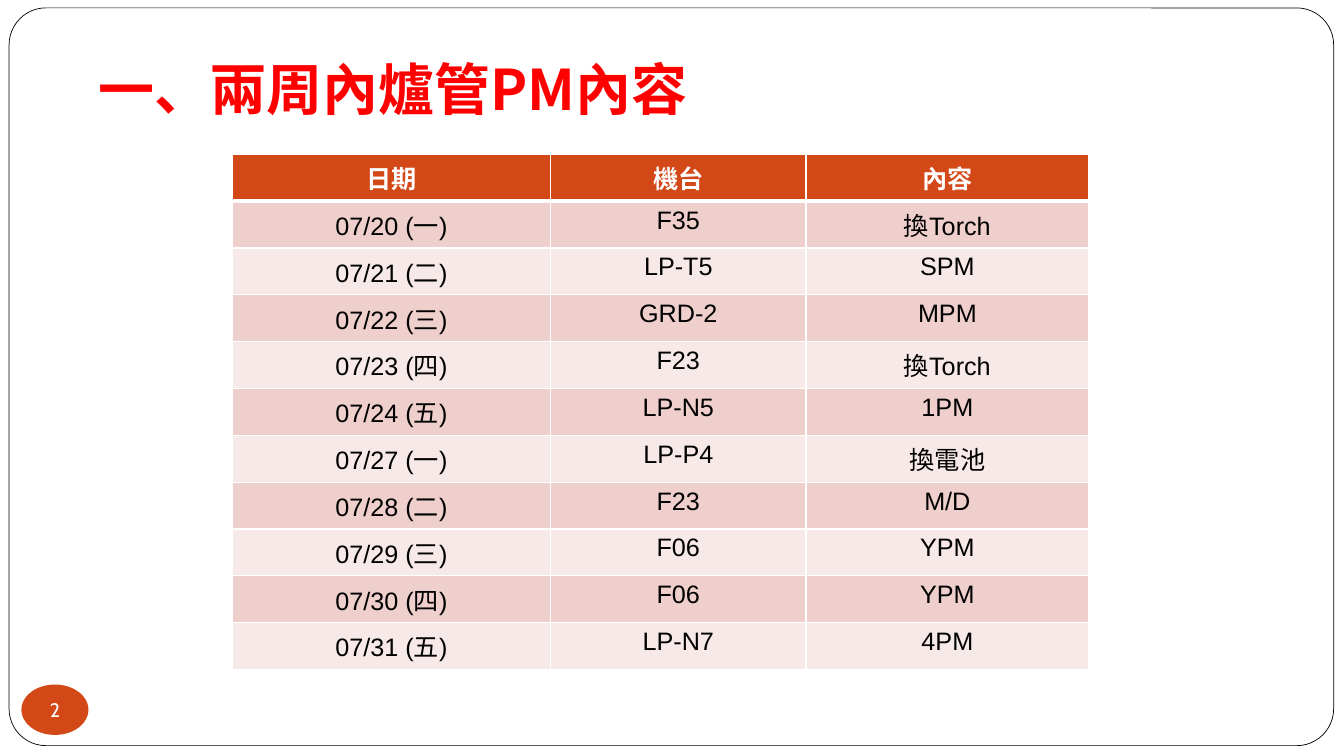
from lxml.etree import SubElement
from pptx import Presentation
from pptx.dml.color import RGBColor
from pptx.enum.shapes import MSO_SHAPE as Shape
from pptx.enum.text import MSO_ANCHOR as Anchor, PP_ALIGN as Align
from pptx.oxml.ns import qn
from pptx.util import Cm, Pt

WHITE, BLACK, RED = "FFFFFF", "000000", "FF0000"
ORANGE, ROSE, PALE = "D34817", "EFCFCC", "F7E9E8"
CJK = "Noto Sans CJK SC"

HEADINGS = ("日期", "機台", "內容")
SCHEDULE = (
    ("07/20 (一)", "F35", "換Torch"),
    ("07/21 (二)", "LP-T5", "SPM"),
    ("07/22 (三)", "GRD-2", "MPM"),
    ("07/23 (四)", "F23", "換Torch"),
    ("07/24 (五)", "LP-N5", "1PM"),
    ("07/27 (一)", "LP-P4", "換電池"),
    ("07/28 (二)", "F23", "M/D"),
    ("07/29 (三)", "F06", "YPM"),
    ("07/30 (四)", "F06", "YPM"),
    ("07/31 (五)", "LP-N7", "4PM"),
)
COLUMN_WIDTHS = (8.03, 6.43, 7.13)


def paint(colour_format, colour):
    """Give a fill a solid colour from a hex string."""
    colour_format.solid()
    colour_format.fore_color.rgb = RGBColor.from_string(colour)


def write(frame, text, size, face, colour, bold=False, align=Align.CENTER):
    """Write one paragraph in a single style."""
    paragraph = frame.paragraphs[0]
    paragraph.text = text
    paragraph.alignment = align
    font = paragraph.font
    font.size, font.name, font.bold = Pt(size), face, bold
    paint(font.fill, colour)
    SubElement(paragraph._p.pPr.find(qn("a:defRPr")), qn("a:ea"), typeface=CJK)


def add_panel(slide, kind, left, top, width, height, fill):
    """Add a flat preset shape without outline."""
    panel = slide.shapes.add_shape(kind, Cm(left), Cm(top), Cm(width), Cm(height))
    panel.shadow.inherit = False
    paint(panel.fill, fill)
    panel.line.fill.background()
    return panel


def add_frame(slide):
    """Add the rounded outline around the slide."""
    frame = add_panel(slide, Shape.ROUNDED_RECTANGLE, 0.23, 0.2, 33.38, 18.59, WHITE)
    frame.adjustments[0] = 0.05
    paint(frame.line.fill, BLACK)
    frame.line.width = Pt(0.5)


def add_title(slide, text):
    """Add the heading, resting on the bottom of its box."""
    title = slide.shapes.add_textbox(Cm(2.24), Cm(0.91), Cm(28.78), Cm(2.41)).text_frame
    title.word_wrap = True
    title.vertical_anchor = Anchor.BOTTOM
    title.margin_bottom = Cm(0.25)
    write(title, text, 40, CJK, RED, True, Align.LEFT)


def add_borders(cell, bottom):
    """Draw white cell borders with the given bottom width in points."""
    properties = cell._tc.get_or_add_tcPr()
    for side, width in (("L", 1), ("R", 1), ("T", 1), ("B", bottom)):
        border = SubElement(properties, qn(f"a:ln{side}"), w=str(Pt(width)))
        SubElement(SubElement(border, qn("a:solidFill")), qn("a:srgbClr"), val=WHITE)


def add_schedule(slide):
    """Add the maintenance table with a heading row and banded rows."""
    rows = (HEADINGS, *SCHEDULE)
    table = slide.shapes.add_table(
        len(rows), len(HEADINGS), Cm(5.85), Cm(3.89), Cm(21.59), Cm(12.98)
    ).table
    for column, width in zip(table.columns, COLUMN_WIDTHS):
        column.width = Cm(width)
    for number, entries in enumerate(rows):
        heading = number == 0
        table.rows[number].height = Cm(1.18)
        fill = ORANGE if heading else ROSE if number % 2 else PALE
        face, colour = ("Calibri", WHITE) if heading else ("Arial", BLACK)
        for cell, entry in zip(table.rows[number].cells, entries):
            add_borders(cell, 3 if heading else 1)
            paint(cell.fill, fill)
            write(cell.text_frame, entry, 18, face, colour, heading)


def add_page_number(slide, number):
    """Add the page number in its oval badge."""
    badge = add_panel(slide, Shape.OVAL, 0.54, 17.25, 1.69, 1.27, ORANGE).text_frame
    badge.margin_left = badge.margin_right = badge.margin_top = badge.margin_bottom = 0
    badge.word_wrap = False
    badge.vertical_anchor = Anchor.MIDDLE
    write(badge, number, 14, "Cabin", WHITE)


def main():
    """Build the slide and save it."""
    deck = Presentation()
    deck.slide_width, deck.slide_height = Cm(33.87), Cm(19.05)
    slide = deck.slides.add_slide(deck.slide_layouts[6])
    add_frame(slide)
    add_title(slide, "一、兩周內爐管PM內容")
    add_schedule(slide)
    add_page_number(slide, "2")
    deck.save("out.pptx")


if __name__ == "__main__":
    main()
